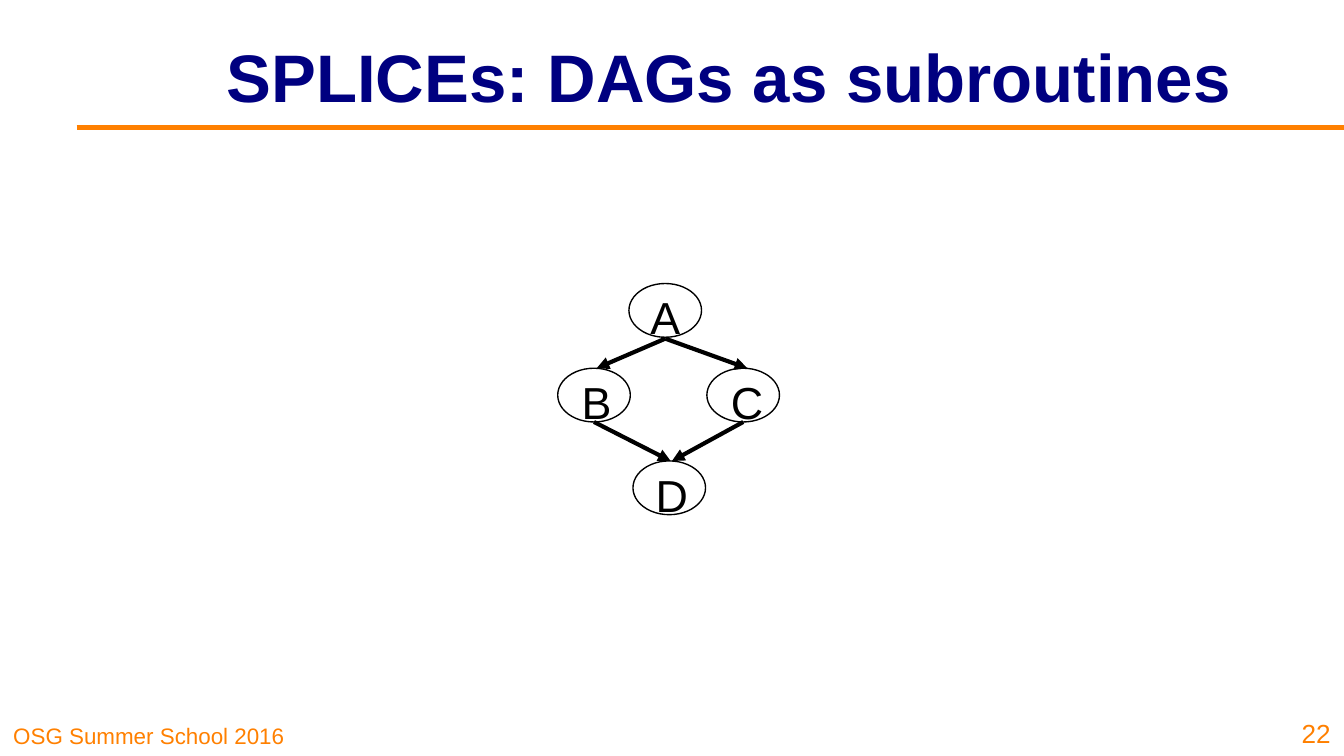
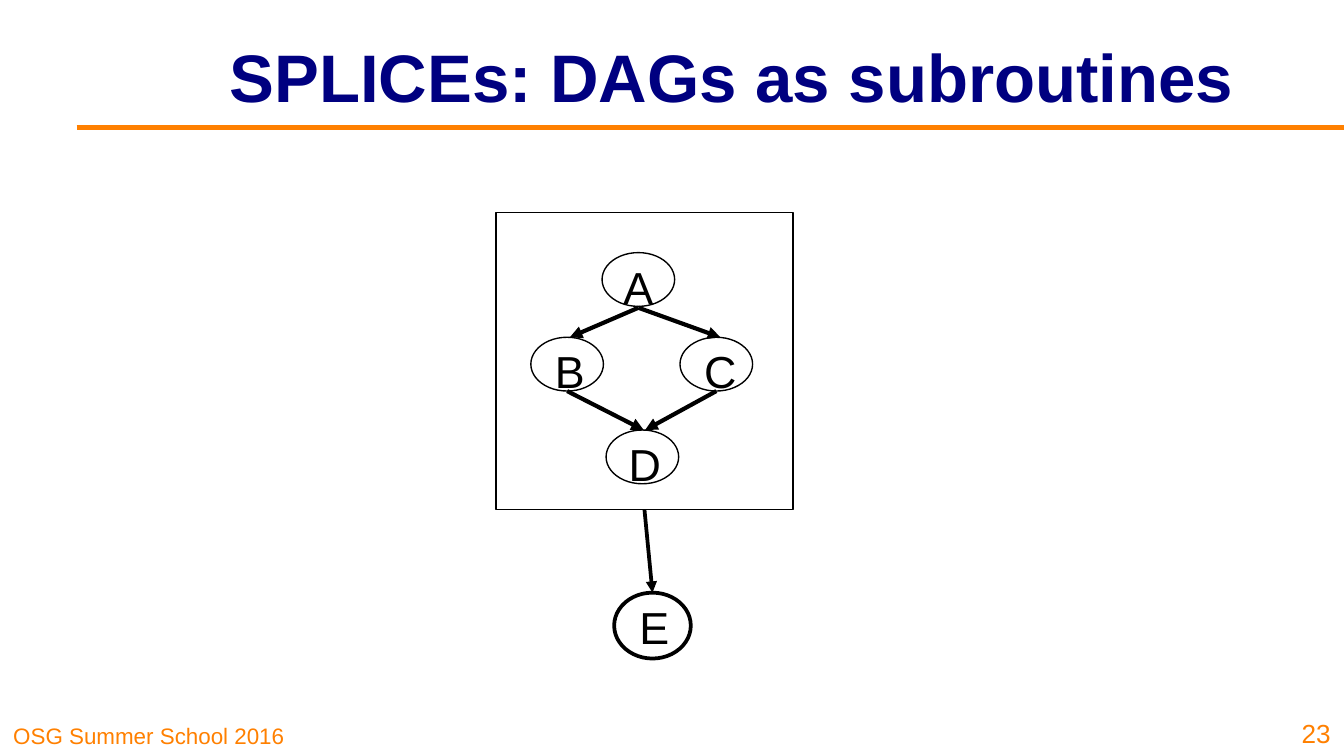
import pptx
import pptx.util
import pptx.dml.color
import pptx.enum.shapes
import pptx.enum.text
import lxml.etree

Inches, Pt = pptx.util.Inches, pptx.util.Pt
SHAPE = pptx.enum.shapes.MSO_SHAPE
ANCHOR = pptx.enum.text.MSO_ANCHOR
ALIGN = pptx.enum.text.PP_ALIGN
A = "{http://schemas.openxmlformats.org/drawingml/2006/main}"
rgb = pptx.dml.color.RGBColor.from_string
ORANGE, NAVY, BLACK = "FF8000", "000080", "000000"


def add_text(s, text, x, y, w, h, size, color, bold=False, align=ALIGN.LEFT, frame={}):
    tf = s.shapes.add_textbox(Inches(x), Inches(y), Inches(w), Inches(h)).text_frame
    for name, value in {"word_wrap": True, **frame}.items():
        setattr(tf, name, value)
    p = tf.paragraphs[0]
    p.alignment = align
    r = p.add_run()
    r.text = text
    for name, value in {"name": "Arial", "size": Pt(size), "bold": bold}.items():
        setattr(r.font, name, value)
    r.font.color.rgb = rgb(color)


def add_line(s, x1, y1, x2, y2, color, width, arrow=True):
    cx = s.shapes.add_connector(pptx.enum.shapes.MSO_CONNECTOR.STRAIGHT,
                                Inches(x1), Inches(y1), Inches(x2), Inches(y2))
    cx.line.color.rgb = rgb(color)
    cx.line.width = Pt(width)
    if arrow:
        lxml.etree.SubElement(cx.line._get_or_add_ln(), A + "tailEnd", type="triangle")
    lxml.etree.SubElement(cx._element.spPr, A + "effectLst")
    return cx


prs = pptx.Presentation()
prs.slide_width = Inches(10)
prs.slide_height = prs.slide_width * 9 // 16

bottom = {"vertical_anchor": ANCHOR.BOTTOM}
middle = {"vertical_anchor": ANCHOR.MIDDLE}
letter = {"word_wrap": False}

dag_nodes = [("A", 0.53, 0, 0.06, 0.42), ("B", 0, 0.63, 0.08, 0.42),
             ("C", 1.11, 0.63, 0.08, 0.44), ("D", 0.56, 1.32, 0.07, 0.44)]
dag_edges = [(0.8, 0.41, 0.29, 0.63), (0.8, 0.41, 1.41, 0.63),
             (0.27, 1.03, 0.84, 1.32), (1.38, 1.03, 0.85, 1.32)]
slides = [("22", 8.17, 4.15, 2.11, False), ("23", 8.21, 3.95, 1.88, True)]

for number, title_width, left, top, spliced in slides:
    s = prs.slides.add_slide(prs.slide_layouts[6])
    add_text(s, "OSG Summer School 2016", 0, 5.31, 2.48, 0.31, 12, ORANGE, frame=bottom)
    add_line(s, 0.57, 0.95, 10, 0.95, ORANGE, 3, arrow=False)
    add_text(s, "SPLICEs: DAGs as subroutines", 1.34, 0.09, title_width, 0.94, 36, NAVY,
             bold=True, align=ALIGN.CENTER, frame=middle)
    add_text(s, number, 9.54, 5.24, 0.46, 0.38, 14, ORANGE, align=ALIGN.RIGHT, frame=bottom)

    outlines = [(SHAPE.OVAL, left + x, top + y, 0.54, 0.4, 0.75) for _, x, y, _, _ in dag_nodes]
    letters = [(name, left + x + dx, top + y, w) for name, x, y, dx, w in dag_nodes]
    if spliced:
        outlines += [(SHAPE.RECTANGLE, 3.69, 1.58, 2.21, 2.21, 0.75),
                     (SHAPE.OVAL, 4.57, 4.41, 0.57, 0.49, 2)]
        letters.append(("E", 4.66, 4.41, 0.5))

    drawn = []
    for kind, x, y, w, h, width in outlines:
        sp = s.shapes.add_shape(kind, Inches(x), Inches(y), Inches(w), Inches(h))
        sp.shadow.inherit = False
        sp.fill.background()
        sp.line.color.rgb = rgb(BLACK)
        sp.line.width = Pt(width)
        drawn.append(sp)
    for name, x, y, w in letters:
        add_text(s, name, x, y, w, 0.5, 24, BLACK, frame=letter)
    for x1, y1, x2, y2 in dag_edges:
        add_line(s, left + x1, top + y1, left + x2, top + y2, BLACK, 2.25)
    if spliced:
        cx = add_line(s, 4.79, 3.79, 4.85, 4.41, BLACK, 2)
        cx.begin_connect(drawn[-2], 2)
        cx.end_connect(drawn[-1], 0)

prs.save("out.pptx")
